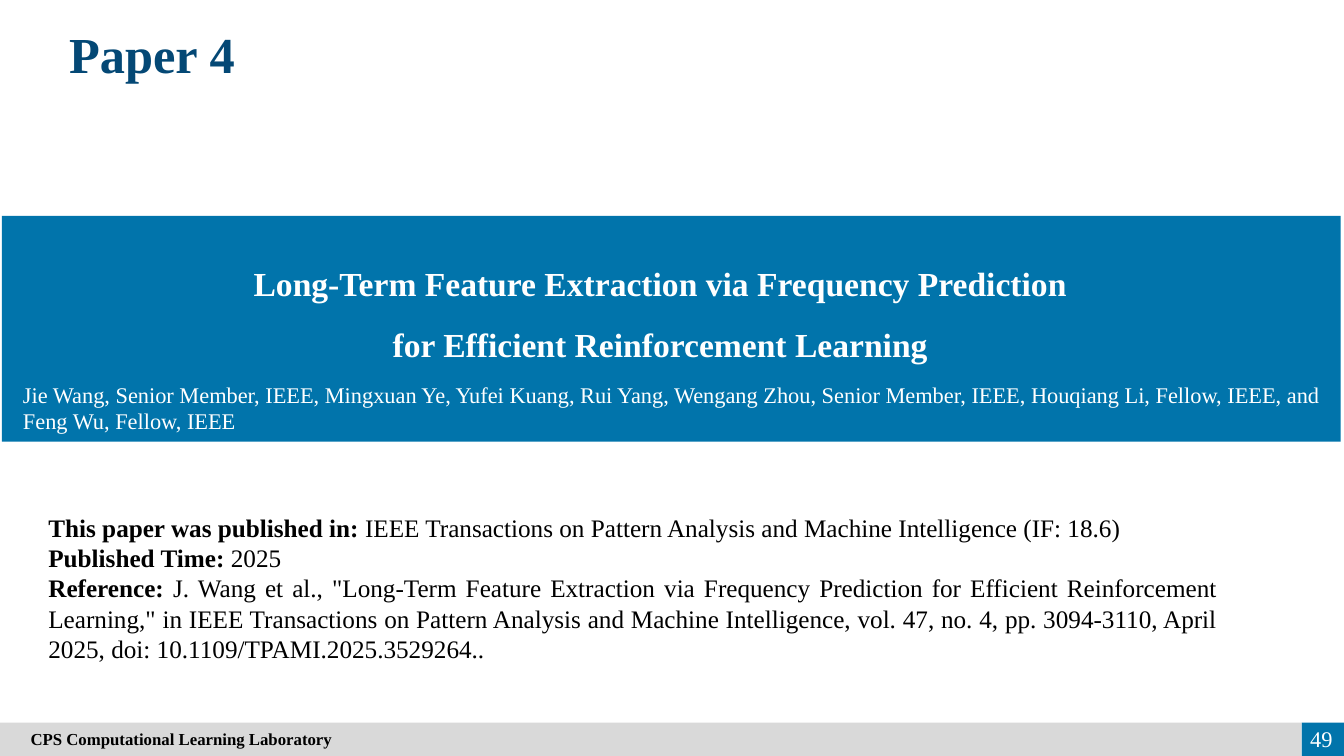
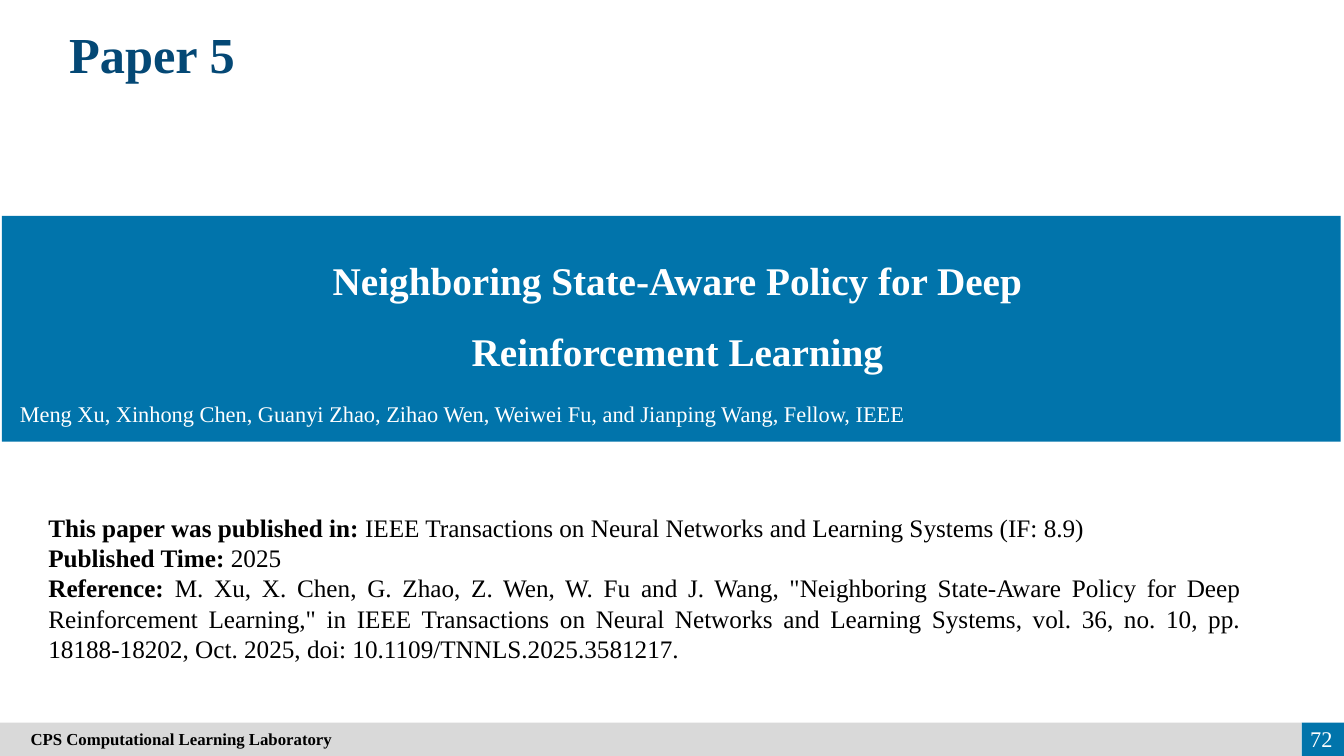
from dataclasses import dataclass

from pptx import Presentation
from pptx.dml.color import RGBColor
from pptx.enum.shapes import MSO_SHAPE
from pptx.enum.text import MSO_ANCHOR, MSO_AUTO_SIZE, PP_ALIGN
from pptx.util import Cm, Pt

RECTANGLE = MSO_SHAPE.RECTANGLE
TOP, MIDDLE = MSO_ANCHOR.TOP, MSO_ANCHOR.MIDDLE
LEFT, CENTER = PP_ALIGN.LEFT, PP_ALIGN.CENTER
RIGHT, JUSTIFY = PP_ALIGN.RIGHT, PP_ALIGN.JUSTIFY
NO_AUTOSIZE = MSO_AUTO_SIZE.NONE


@dataclass(frozen=True)
class Theme:
    font: str = "Times New Roman"
    title: RGBColor = RGBColor(0x04, 0x48, 0x75)
    blue: RGBColor = RGBColor(0x01, 0x74, 0xAB)
    grey: RGBColor = RGBColor(0xD9, 0xD9, 0xD9)
    white: RGBColor = RGBColor(0xFF, 0xFF, 0xFF)
    black: RGBColor = RGBColor(0x00, 0x00, 0x00)
    title_size: int = 36
    detail_size: int = 18
    small_size: int = 16
    footer_size: int = 12


THEME = Theme()
SLIDE_W, SLIDE_H = 33.87, 19.05
FOOTER_H, NUMBER_W = 0.84, 1.07
FOOTER = "CPS Computational Learning Laboratory"

# Boxes are left, top, width, height in centimetres.
PAPERS = [
    {
        "title": "Paper 4",
        "number": "49",
        "heading": ["Long-Term Feature Extraction via Frequency Prediction",
                    "for Efficient Reinforcement Learning"],
        "heading_size": 24,
        "heading_box": (0.08, 6.07, 33.12, 3.15),
        "authors": "Jie Wang, Senior Member, IEEE, Mingxuan Ye, Yufei Kuang, "
                   "Rui Yang, Wengang Zhou, Senior Member, IEEE, Houqiang Li, "
                   "Fellow, IEEE, and Feng Wu, Fellow, IEEE",
        "authors_box": (0.33, 9.47, 33.2, 1.63),
        "details_width": 29.97,
        "details": [
            ("This paper was published in:",
             "IEEE Transactions on Pattern Analysis and Machine Intelligence "
             "(IF: 18.6)"),
            ("Published Time:", "2025"),
            ("Reference:",
             'J. Wang et al., "Long-Term Feature Extraction via Frequency '
             'Prediction for Efficient Reinforcement Learning," in IEEE '
             "Transactions on Pattern Analysis and Machine Intelligence, "
             "vol. 47, no. 4, pp. 3094-3110, April 2025, "
             "doi: 10.1109/TPAMI.2025.3529264.."),
        ],
    },
    {
        "title": "Paper 5",
        "number": "72",
        "heading": ["Neighboring State-Aware Policy for Deep",
                    "Reinforcement Learning"],
        "heading_size": 28,
        "heading_box": (0.3, 5.84, 33.54, 3.63),
        "authors": "Meng Xu, Xinhong Chen, Guanyi Zhao, Zihao Wen, Weiwei Fu, "
                   "and Jianping Wang, Fellow, IEEE",
        "authors_box": (0.25, 9.96, 33.4, 0.94),
        "details_width": 30.56,
        "details": [
            ("This paper was published in:",
             "IEEE Transactions on Neural Networks and Learning Systems "
             "(IF: 8.9)"),
            ("Published Time:", "2025"),
            ("Reference:",
             "M. Xu, X. Chen, G. Zhao, Z. Wen, W. Fu and J. Wang, "
             '"Neighboring State-Aware Policy for Deep Reinforcement '
             'Learning," in IEEE Transactions on Neural Networks and Learning '
             "Systems, vol. 36, no. 10, pp. 18188-18202, Oct. 2025, "
             "doi: 10.1109/TNNLS.2025.3581217."),
        ],
    },
]


def style(paragraph, size, color, bold=False, align=LEFT):
    paragraph.alignment = align
    font = paragraph.font
    font.name, font.size, font.bold = THEME.font, Pt(size), bold
    font.color.rgb = color


def add_bar(slide, box, color):
    bar = slide.shapes.add_shape(RECTANGLE, *map(Cm, box))
    bar.shadow.inherit = False
    bar.fill.solid()
    bar.fill.fore_color.rgb = color
    bar.line.fill.background()
    return bar


def add_text(slide, box, lines, size, color, bold=False, align=LEFT,
             anchor=TOP, spacing=None):
    frame = slide.shapes.add_textbox(*map(Cm, box)).text_frame
    frame.word_wrap = True
    frame.vertical_anchor = anchor
    frame.text = "\n".join(lines)
    for paragraph in frame.paragraphs:
        style(paragraph, size, color, bold, align)
        paragraph.line_spacing = spacing


def set_title(slide, text):
    title = slide.shapes.title
    title.left, title.top, title.width, title.height = map(
        Cm, (0.97, 0.46, 5.72, 1.8))
    frame = title.text_frame
    frame.text = text
    frame.auto_size = NO_AUTOSIZE
    frame.vertical_anchor = TOP
    style(frame.paragraphs[0], THEME.title_size, THEME.title, True, CENTER)


def add_details(slide, details, width):
    """Write one justified paragraph per entry, with a bold label."""
    frame = slide.shapes.add_textbox(
        *map(Cm, (0.97, 12.78, width, 4.11))).text_frame
    frame.word_wrap = True
    for index, (label, value) in enumerate(details):
        paragraph = frame.add_paragraph() if index else frame.paragraphs[0]
        style(paragraph, THEME.detail_size, THEME.black, align=JUSTIFY)
        label_run = paragraph.add_run()
        label_run.text = label + " "
        label_run.font.bold = True
        paragraph.add_run().text = value


def add_footer(slide, number):
    top, split = SLIDE_H - FOOTER_H, SLIDE_W - NUMBER_W
    add_bar(slide, (split, top, NUMBER_W, FOOTER_H), THEME.blue)
    lab = add_bar(slide, (0, top, split, FOOTER_H), THEME.grey).text_frame
    lab.text = FOOTER
    lab.margin_left = Cm(0.77)
    lab.vertical_anchor = MIDDLE
    style(lab.paragraphs[0], THEME.footer_size, THEME.black, True)
    add_text(slide, (32.23, 18.11, 1.6, 1.02), [number], THEME.small_size,
             THEME.white, align=RIGHT, anchor=MIDDLE)


def add_paper(slide, paper):
    set_title(slide, paper["title"])
    add_bar(slide, (0.05, 5.44, 33.74, 5.69), THEME.blue)
    add_text(slide, paper["heading_box"], paper["heading"],
             paper["heading_size"], THEME.white, True, CENTER, MIDDLE, 1.5)
    add_text(slide, paper["authors_box"], [paper["authors"]],
             THEME.small_size, THEME.white)
    add_details(slide, paper["details"], paper["details_width"])
    add_footer(slide, paper["number"])


def main():
    deck = Presentation()
    deck.slide_width, deck.slide_height = Cm(SLIDE_W), Cm(SLIDE_H)
    title_only = deck.slide_layouts[5]
    for paper in PAPERS:
        add_paper(deck.slides.add_slide(title_only), paper)
    deck.save("out.pptx")


if __name__ == "__main__":
    main()
